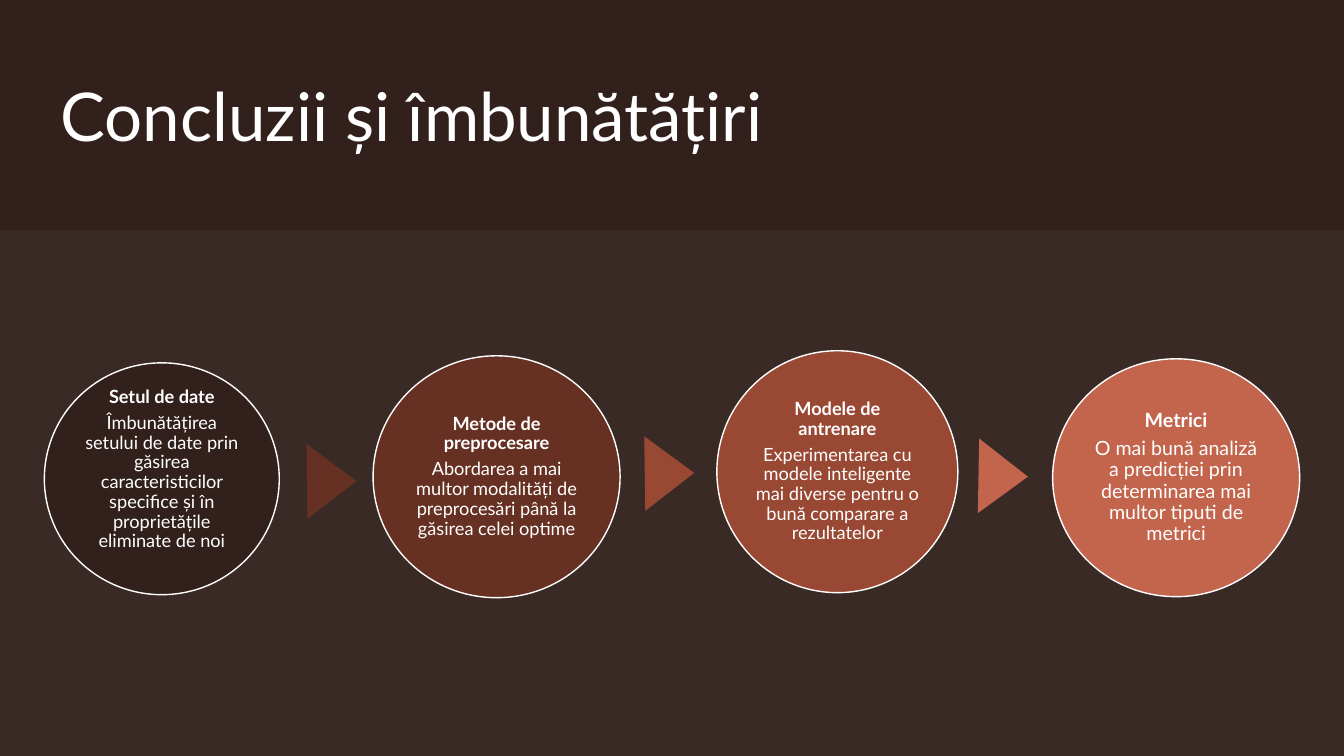
from lxml import etree
from pptx import Presentation
from pptx.dml.color import RGBColor
from pptx.enum.shapes import MSO_SHAPE
from pptx.enum.text import MSO_ANCHOR, PP_ALIGN
from pptx.oxml.ns import qn
from pptx.util import Inches, Pt

FONT = "Lato"
COLORS = {
    "background": "31201C",
    "band": "EFE6E3",
    "white": "FFFFFF",
    "data": "31201C",
    "preprocessing": "663022",
    "models": "994833",
    "metrics": "C3654D",
}

# colour, (left, top, width, height), font size, bottom inset, heading, text
STEPS = [
    ("data", (0.44, 3.6, 2.33, 2.3), 13, 0.2, "Setul de date",
     "Îmbunătățirea setului de date prin găsirea caracteristicilor specifice "
     "și în proprietățile eliminate de noi"),
    ("preprocessing", (3.7, 3.53, 2.45, 2.4), 13, 0.02, "Metode de preprocesare",
     "Abordarea a mai multor modalități de preprocesări până la găsirea celei optime"),
    ("models", (7.11, 3.48, 2.39, 2.4), 13, 0.02, "Modele de antrenare",
     "Experimentarea cu modele inteligente mai diverse pentru o bună comparare "
     "a rezultatelor"),
    ("metrics", (10.44, 3.56, 2.45, 2.36), 14, 0.02, "Metrici",
     "O mai bună analiză a predicției prin determinarea mai multor tiputi de metrici"),
]

# colour, left, top, rotation
ARROWS = [
    ("preprocessing", 2.92, 4.53, 89.5),
    ("models", 6.27, 4.45, 89.2),
    ("metrics", 9.58, 4.48, 91),
]


def rgb(name):
    return RGBColor.from_string(COLORS[name])


def format_font(font, size, bold=False):
    font.name = FONT
    font.size = Pt(size)
    font.bold = bold
    font.color.rgb = rgb("white")


def set_insets(frame, inset, bottom):
    frame.margin_left = frame.margin_right = frame.margin_top = Inches(inset)
    frame.margin_bottom = Inches(bottom)


def add_filled_shape(slide, kind, box, color):
    shape = slide.shapes.add_shape(kind, *(Inches(length) for length in box))
    shape.shadow.inherit = False
    shape.fill.solid()
    shape.fill.fore_color.rgb = rgb(color)
    shape.line.fill.background()
    return shape


def add_title(slide, text):
    title = slide.shapes.title
    title.left, title.top = Inches(0.6), Inches(0.6)
    title.width, title.height = Inches(7.99), Inches(1.08)
    frame = title.text_frame
    frame.text = text
    frame.vertical_anchor = MSO_ANCHOR.MIDDLE
    set_insets(frame, 0, 0)
    paragraph = frame.paragraphs[0]
    paragraph.alignment = PP_ALIGN.LEFT
    format_font(paragraph.font, 48)


def add_band(slide):
    """Lighten the lower part of the slide with a 5% tint."""
    band = add_filled_shape(slide, MSO_SHAPE.RECTANGLE, (0, 2.28, 13.33, 5.22), "band")
    color = band.fill._xPr.find(qn("a:solidFill"))[0]
    etree.SubElement(color, qn("a:alpha"), val="5000")


def add_step(slide, color, box, size, bottom, heading, text):
    circle = add_filled_shape(slide, MSO_SHAPE.OVAL, box, color)
    circle.line.color.rgb = rgb("white")
    circle.line.width = Pt(1)
    frame = circle.text_frame
    frame.word_wrap = True
    frame.vertical_anchor = MSO_ANCHOR.MIDDLE
    set_insets(frame, 0.02, bottom)
    frame.text = f"{heading}\n{text}"
    for index, paragraph in enumerate(frame.paragraphs):
        paragraph.alignment = PP_ALIGN.CENTER
        paragraph.line_spacing = 0.9
        paragraph.space_after = Pt(0.35 * size)
        format_font(paragraph.font, size, bold=index == 0)


def add_arrow(slide, color, left, top, rotation):
    arrow = add_filled_shape(
        slide, MSO_SHAPE.ISOSCELES_TRIANGLE, (left, top, 0.74, 0.49), color)
    arrow.rotation = rotation


def main():
    presentation = Presentation()
    presentation.slide_width = Inches(13.33)
    presentation.slide_height = Inches(7.5)
    slide = presentation.slides.add_slide(presentation.slide_layouts[5])
    slide.background.fill.solid()
    slide.background.fill.fore_color.rgb = rgb("background")

    add_title(slide, "Concluzii și îmbunătățiri")
    add_band(slide)
    for step in STEPS:
        add_step(slide, *step)
    for arrow in ARROWS:
        add_arrow(slide, *arrow)
    presentation.save("out.pptx")


if __name__ == "__main__":
    main()
